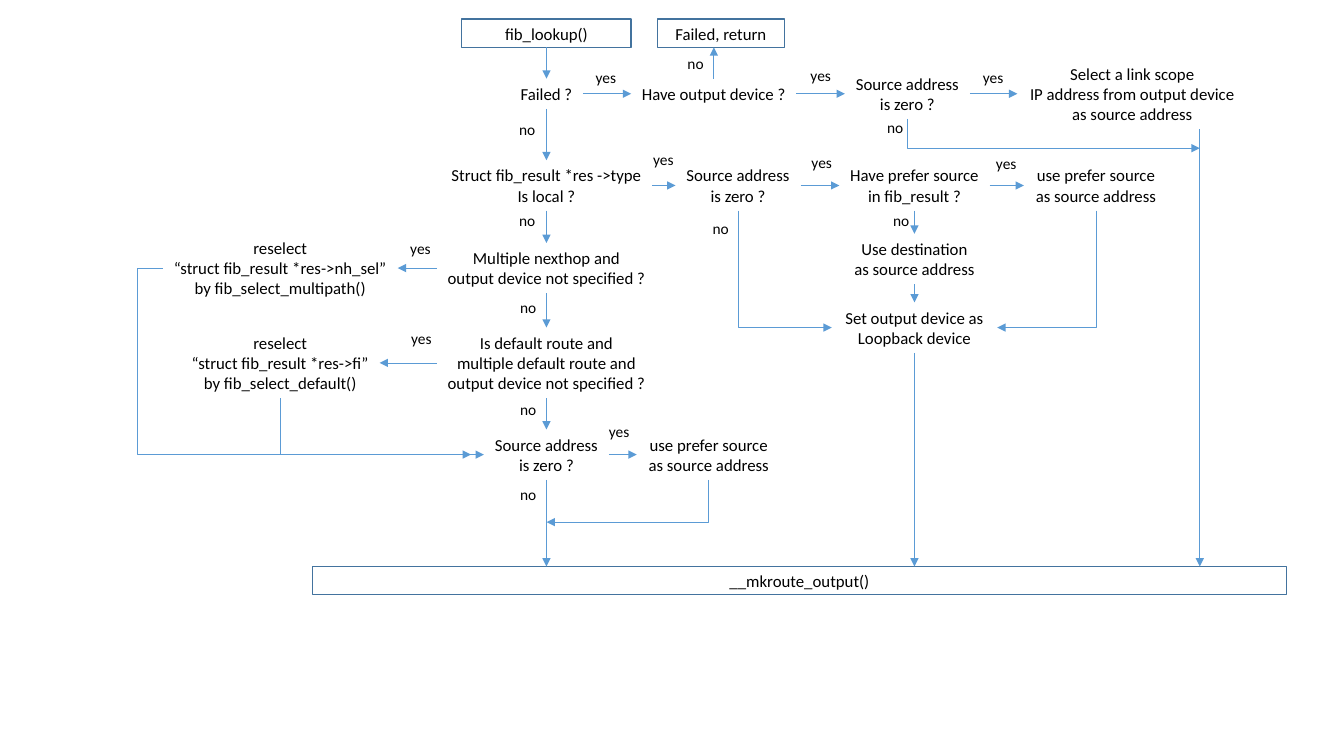
"""Build a flowchart slide of the route output lookup."""
from lxml import etree
from pptx import Presentation, util as u
from pptx.dml.color import RGBColor
from pptx.enum import shapes, text
from pptx.oxml.ns import qn

COLORS = {"text": "000000", "border": "43739E", "arrow": "5B9BD5"}
FONT = "Calibri"
SLIDE_W, SLIDE_H = 13.33, 7.5
BOX_H, LINE_H, PAD_H = 0.28, 0.2, 0.1
COLS = {"reselect": 2.78, "main": 5.42, "prefer": 7.03, "device": 7.08,
        "return": 7.15, "local": 7.32, "end": 7.93, "zero": 9.0,
        "loopback": 9.07, "source": 10.87, "link": 11.23, "exit": 11.9}
ROWS = {"start": 0.33, "failed": 0.93, "merge": 1.47, "local": 1.84,
        "dest": 2.57, "nexthop": 2.66, "loopback": 3.25, "default": 3.6,
        "zero": 4.51, "join": 5.18, "end": 5.76}

ZERO = ["Source address", "is zero ?"]
PREFER = ["use prefer source", "as source address"]
BOXES = {
    "lookup": ("main", "start", 1.68, ["fib_lookup()"]),
    "return": ("return", "start", 1.26, ["Failed, return"]),
    "output": ("end", "end", 9.66, ["__mkroute_output()"]),
}
STEPS = {
    "failed": ("main", "failed", 0.72, ["Failed ?"]),
    "device": ("device", "failed", 1.64, ["Have output device ?"]),
    "zero_device": ("zero", "failed", 1.24, ZERO),
    "link": ("link", "failed", 2.28, ["Select a link scope", "IP address from output device",
                                      "as source address"]),
    "local": ("main", "local", 2.1, ["Struct fib_result *res ->type", "Is local ?"]),
    "zero_local": ("local", "local", 1.24, ZERO),
    "have_prefer": ("loopback", "local", 1.49, ["Have prefer source", "in fib_result ?"]),
    "use_prefer": ("source", "local", 1.43, PREFER),
    "dest": ("loopback", "dest", 1.41, ["Use destination", "as source address"]),
    "loopback": ("loopback", "loopback", 1.64, ["Set output device as", "Loopback device"]),
    "nexthop": ("main", "nexthop", 2.18, ["Multiple nexthop and",
                                          "output device not specified ?"]),
    "multipath": ("reselect", "nexthop", 2.33, ["reselect", "“struct fib_result *res->nh_sel”",
                                                "by fib_select_multipath()"]),
    "default": ("main", "default", 2.18, ["Is default route and", "multiple default route and",
                                          "output device not specified ?"]),
    "pick_default": ("reselect", "default", 1.97, ["reselect", "“struct fib_result *res->fi”",
                                                   "by fib_select_default()"]),
    "zero_last": ("main", "zero", 1.24, ZERO),
    "prefer_last": ("prefer", "zero", 1.43, PREFER),
}
STRAIGHT = [
    ("lookup", "bottom", "failed"), ("failed", "right", "device"),
    ("device", "right", "zero_device"), ("zero_device", "right", "link"),
    ("device", "top", "return"), ("failed", "bottom", "local"),
    ("local", "right", "zero_local"), ("zero_local", "right", "have_prefer"),
    ("have_prefer", "right", "use_prefer"), ("have_prefer", "bottom", "dest"),
    ("dest", "bottom", "loopback"), ("loopback", "bottom", "output"),
    ("local", "bottom", "nexthop"), ("nexthop", "left", "multipath"),
    ("nexthop", "bottom", "default"), ("default", "left", "pick_default"),
    ("default", "bottom", "zero_last"), ("zero_last", "right", "prefer_last"),
    ("zero_last", "bottom", "output"),
]
TURNS = [
    ("use_prefer", (9.89, ROWS["loopback"])),
    ("zero_local", (8.25, ROWS["loopback"])),
    ("prefer_last", (COLS["main"], ROWS["join"])),
    ("zero_device", (COLS["exit"], ROWS["merge"])),
    ("pick_default", (4.67, ROWS["zero"])),
]
OPPOSITE = {"left": "right", "right": "left", "top": "bottom", "bottom": "top"}
LABELS = {
    "yes": (0.41, [(5.81, 0.63), (7.94, 0.61), (9.65, 0.63), (6.38, 1.44), (7.95, 1.47),
                   (9.78, 1.48), (5.94, 4.14), (3.97, 2.32), (3.98, 3.22)]),
    "no": (0.36, [(8.76, 2.05), (6.72, 0.49), (5.05, 1.14), (5.06, 4.76), (8.7, 1.12),
                  (6.97, 2.12), (5.05, 2.04), (5.06, 2.91), (5.06, 3.92)]),
}


def frame(name):
    col, row, w, lines = BOXES.get(name) or STEPS[name]
    h = BOX_H if name in BOXES else PAD_H + LINE_H * len(lines)
    return COLS[col] - w / 2, ROWS[row] - h / 2, w, h


def port(name, side):
    x, y, w, h = frame(name)
    return {"left": (x, y + h / 2), "right": (x + w, y + h / 2),
            "top": (x + w / 2, y), "bottom": (x + w / 2, y + h)}[side]


def write(sp, lines, size, align):
    tf = sp.text_frame
    for i, line in enumerate(lines):
        p = tf.add_paragraph() if i else tf.paragraphs[0]
        p.alignment = align
        r = p.add_run()
        r.text = line
        r.font.size, r.font.name = u.Pt(size), FONT
        r.font.color.rgb = RGBColor.from_string(COLORS["text"])


def add_text(s, box, lines, size=12, align=text.PP_ALIGN.CENTER):
    sp = s.shapes.add_textbox(*map(u.Inches, box))
    sp.text_frame.word_wrap = False
    sp.text_frame.auto_size = text.MSO_AUTO_SIZE.SHAPE_TO_FIT_TEXT
    write(sp, lines, size, align)


def add_box(s, box, lines):
    sp = s.shapes.add_shape(shapes.MSO_SHAPE.RECTANGLE, *map(u.Inches, box))
    sp.shadow.inherit = False
    sp.fill.background()
    sp.line.color.rgb = RGBColor.from_string(COLORS["border"])
    sp.line.width = u.Pt(1)
    sp.text_frame.vertical_anchor = text.MSO_ANCHOR.MIDDLE
    write(sp, lines, 12, text.PP_ALIGN.CENTER)


def add_arrow(s, start, end, kind=shapes.MSO_CONNECTOR.STRAIGHT):
    c = s.shapes.add_connector(kind, *map(u.Inches, (*start, *end)))
    c.line.color.rgb = RGBColor.from_string(COLORS["arrow"])
    c.line.width = u.Pt(0.5)
    pr = c._element.spPr
    etree.SubElement(pr.find(qn("a:ln")), qn("a:tailEnd"), type="triangle")
    etree.SubElement(pr, qn("a:effectLst"))
    return pr


def add_turn(s, start, end):
    (x1, y1), (x2, y2) = start, end
    mid_x, mid_y = (x1 + x2) / 2, (y1 + y2) / 2
    half_w, half_h = (y2 - y1) / 2, abs(x2 - x1) / 2
    sign = 1 if x2 > x1 else -1
    pr = add_arrow(s, (mid_x + sign * half_w, mid_y - half_h),
                   (mid_x - sign * half_w, mid_y + half_h), shapes.MSO_CONNECTOR.ELBOW)
    pr.find(qn("a:xfrm")).set("rot", str((270 if sign > 0 else 90) * 60000))
    pr.find(qn("a:prstGeom")).set("prst", "bentConnector2")


def add_loop(s, start, end, share):
    pr = add_arrow(s, start, end, shapes.MSO_CONNECTOR.ELBOW)
    guides = pr.find(qn("a:prstGeom")).find(qn("a:avLst"))
    etree.SubElement(guides, qn("a:gd"), name="adj1", fmla=f"val {round(share * 100000)}")


def main():
    prs = Presentation()
    prs.slide_width, prs.slide_height = u.Inches(SLIDE_W), u.Inches(SLIDE_H)
    s = prs.slides.add_slide(prs.slide_layouts[6])
    for name, (_, _, _, lines) in BOXES.items():
        add_box(s, frame(name), lines)
    for name, (_, _, _, lines) in STEPS.items():
        add_text(s, frame(name), lines)
    for name, side, target in STRAIGHT:
        start, end = port(name, side), port(target, OPPOSITE[side])
        upright = side in ("top", "bottom")
        add_arrow(s, start, (start[0], end[1]) if upright else (end[0], start[1]))
    add_arrow(s, (COLS["exit"], port("link", "bottom")[1]),
              (COLS["exit"], port("output", "top")[1]))
    for name, end in TURNS:
        add_turn(s, port(name, "bottom"), end)
    add_loop(s, port("multipath", "left"), port("zero_last", "left"), -0.08)
    for word, (w, places) in LABELS.items():
        for x, y in places:
            add_text(s, (x, y, w, 0.29), [word], 11, text.PP_ALIGN.LEFT)
    prs.save("out.pptx")


if __name__ == "__main__":
    main()
